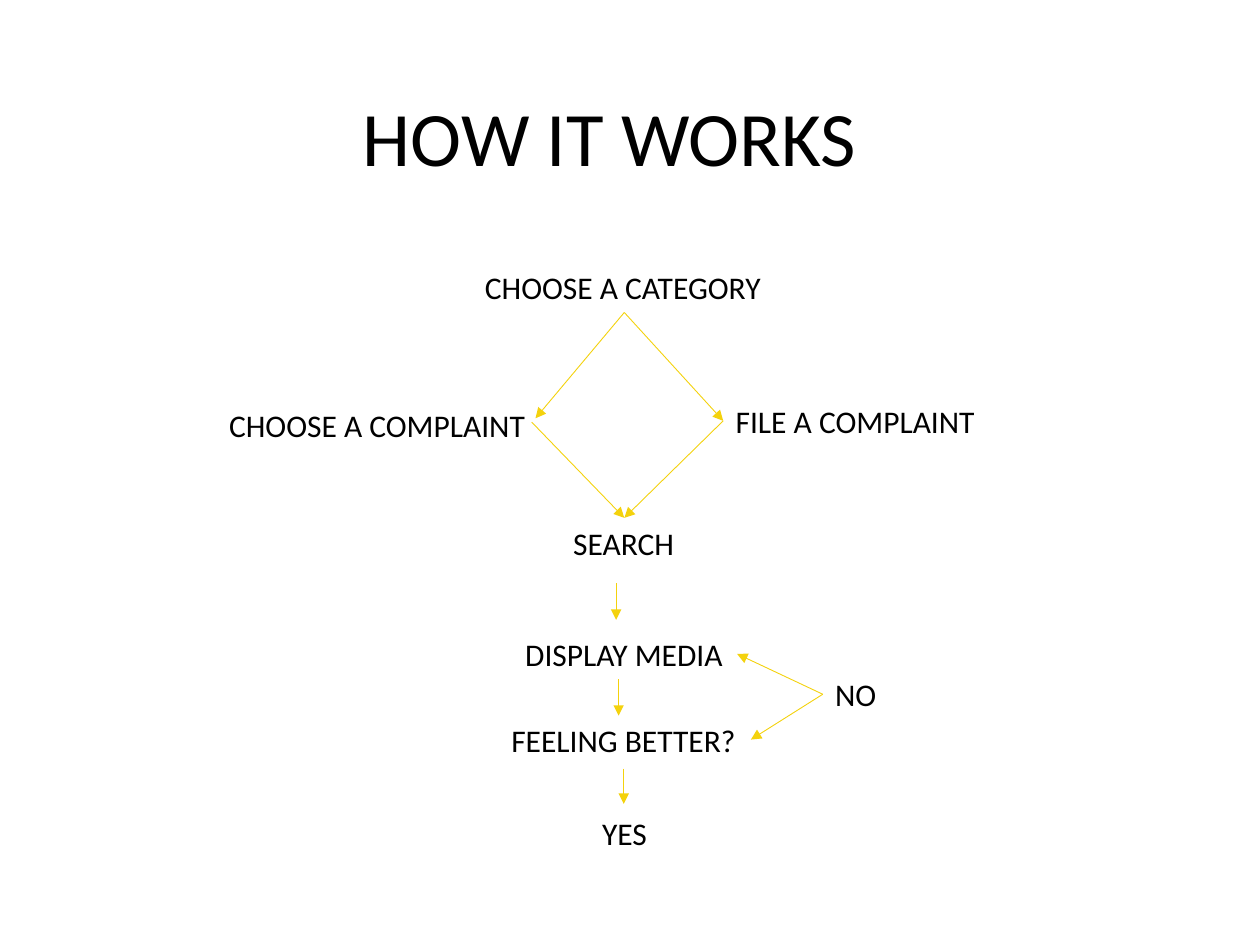
from dataclasses import dataclass

from pptx import Presentation
from pptx.dml.color import RGBColor
from pptx.enum.shapes import MSO_CONNECTOR
from pptx.enum.text import MSO_ANCHOR, MSO_AUTO_SIZE, PP_ALIGN
from pptx.oxml.ns import qn
from pptx.shapes.autoshape import Shape
from pptx.shapes.connector import Connector
from pptx.slide import Slide
from pptx.util import Inches, Pt
from lxml import etree

STRAIGHT = MSO_CONNECTOR.STRAIGHT
MIDDLE = MSO_ANCHOR.MIDDLE
CENTER = PP_ALIGN.CENTER
GROW = MSO_AUTO_SIZE.SHAPE_TO_FIT_TEXT
TOP, LEFT, BOTTOM, RIGHT = range(4)

BLACK = RGBColor(0x00, 0x00, 0x00)
YELLOW = RGBColor(0xF4, 0xD2, 0x0D)
FONT = "Calibri"
STEP_HEIGHT = 0.4


@dataclass(frozen=True)
class Step:
    text: str
    left: float
    top: float
    width: float


@dataclass(frozen=True)
class Point:
    x: float
    y: float


@dataclass(frozen=True)
class Joint:
    step: Step
    side: int


@dataclass(frozen=True)
class Arrow:
    start: Point | Joint
    end: Point | Joint


FILE = Step("FILE A COMPLAINT", 5.74, 3.14, 2.12)
CATEGORY = Step("CHOOSE A CATEGORY", 3.75, 2.08, 2.41)
COMPLAINT = Step("CHOOSE A COMPLAINT", 1.72, 3.17, 2.57)
SEARCH = Step("SEARCH", 4.45, 4.11, 1.01)
DISPLAY = Step("DISPLAY MEDIA", 4.07, 4.99, 1.78)
BETTER = Step("FEELING BETTER?", 3.96, 5.67, 2)
NO = Step("NO", 6.53, 5.31, 0.53)
YES = Step("YES", 4.68, 6.41, 0.56)
STEPS = [FILE, CATEGORY, COMPLAINT, SEARCH, DISPLAY, BETTER, NO, YES]

ARROWS = [
    Arrow(Joint(CATEGORY, BOTTOM), Joint(FILE, LEFT)),
    Arrow(Joint(CATEGORY, BOTTOM), Point(4.25, 3.32)),
    Arrow(Joint(FILE, LEFT), Joint(SEARCH, TOP)),
    Arrow(Point(4.22, 3.35), Joint(SEARCH, TOP)),
    Arrow(Point(4.89, 4.63), Point(4.89, 4.92)),
    Arrow(Point(4.91, 5.39), Point(4.91, 5.68)),
    Arrow(Point(4.95, 6.1), Point(4.95, 6.38)),
    Arrow(Joint(NO, LEFT), Joint(DISPLAY, RIGHT)),
    Arrow(Joint(NO, LEFT), Joint(BETTER, RIGHT)),
]


def format_text(shape: Shape, size: float) -> None:
    font = shape.text_frame.paragraphs[0].runs[0].font
    font.name = FONT
    font.size = Pt(size)
    font.color.rgb = BLACK


def add_title(slide: Slide, text: str) -> None:
    shape = slide.shapes.add_textbox(Inches(0.53), Inches(0.4), Inches(8.62), Inches(1.45))
    text_frame = shape.text_frame
    text_frame.word_wrap = True
    text_frame.vertical_anchor = MIDDLE
    text_frame.text = text
    paragraph = text_frame.paragraphs[0]
    paragraph.alignment = CENTER
    paragraph.line_spacing = 0.9
    format_text(shape, 44)


def add_step(slide: Slide, step: Step) -> Shape:
    shape = slide.shapes.add_textbox(
        Inches(step.left), Inches(step.top), Inches(step.width), Inches(STEP_HEIGHT)
    )
    text_frame = shape.text_frame
    text_frame.word_wrap = False
    text_frame.auto_size = GROW
    text_frame.text = step.text
    format_text(shape, 18)
    return shape


def locate(place: Point | Joint) -> Point:
    if isinstance(place, Point):
        return place
    step = place.step
    across = {LEFT: 0, RIGHT: 1}.get(place.side, 0.5)
    down = {TOP: 0, BOTTOM: 1}.get(place.side, 0.5)
    return Point(step.left + across * step.width, step.top + down * STEP_HEIGHT)


def add_arrow(slide: Slide, arrow: Arrow, shapes: dict[Step, Shape]) -> Connector:
    start, end = locate(arrow.start), locate(arrow.end)
    connector = slide.shapes.add_connector(
        STRAIGHT, Inches(start.x), Inches(start.y), Inches(end.x), Inches(end.y)
    )
    if isinstance(arrow.start, Joint):
        connector.begin_connect(shapes[arrow.start.step], arrow.start.side)
    if isinstance(arrow.end, Joint):
        connector.end_connect(shapes[arrow.end.step], arrow.end.side)
    connector.line.color.rgb = YELLOW
    connector.line.width = Pt(0.5)
    properties = connector.element.spPr
    etree.SubElement(properties.find(qn("a:ln")), qn("a:tailEnd"), type="triangle")
    etree.SubElement(properties, qn("a:effectLst"))
    return connector


def main() -> None:
    presentation = Presentation()
    presentation.slide_width = Inches(10)
    presentation.slide_height = Inches(7.5)
    slide = presentation.slides.add_slide(presentation.slide_layouts[6])
    add_title(slide, "HOW IT WORKS")
    shapes = {step: add_step(slide, step) for step in STEPS}
    for arrow in ARROWS:
        add_arrow(slide, arrow, shapes)
    presentation.save("out.pptx")


if __name__ == "__main__":
    main()
